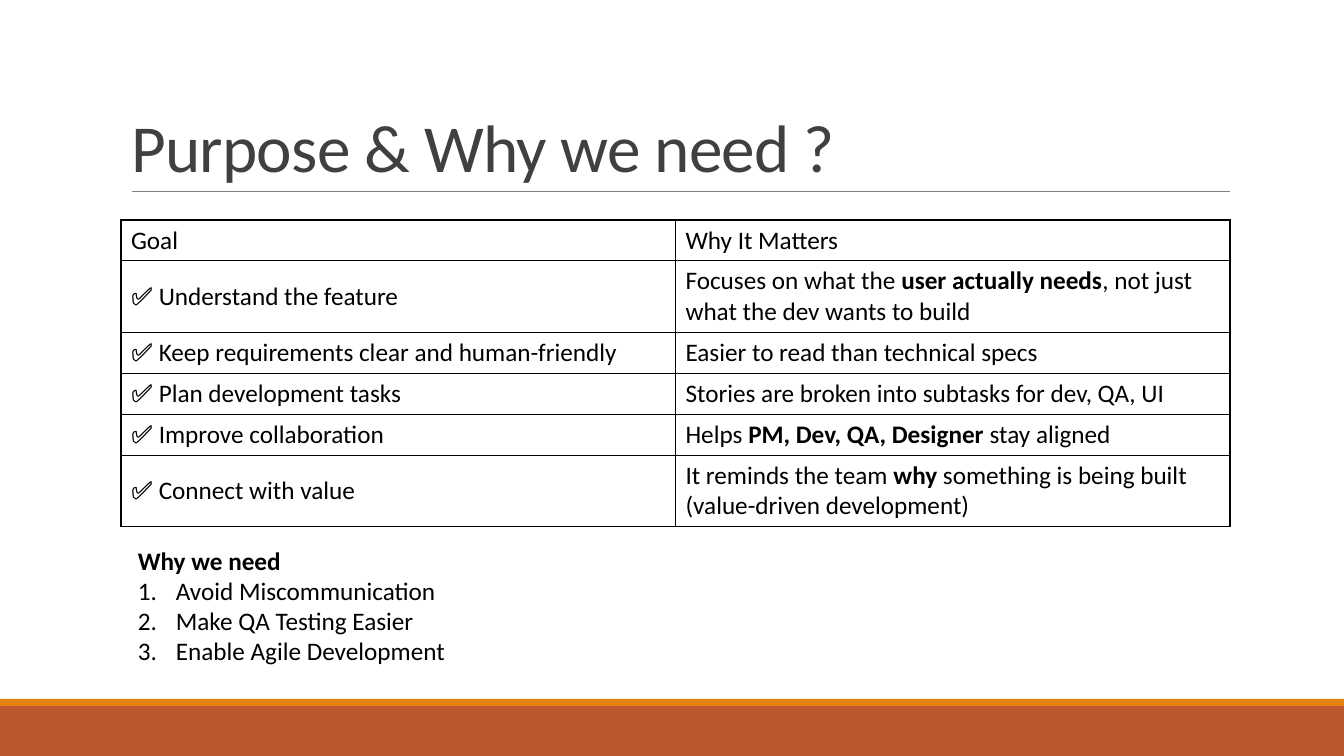
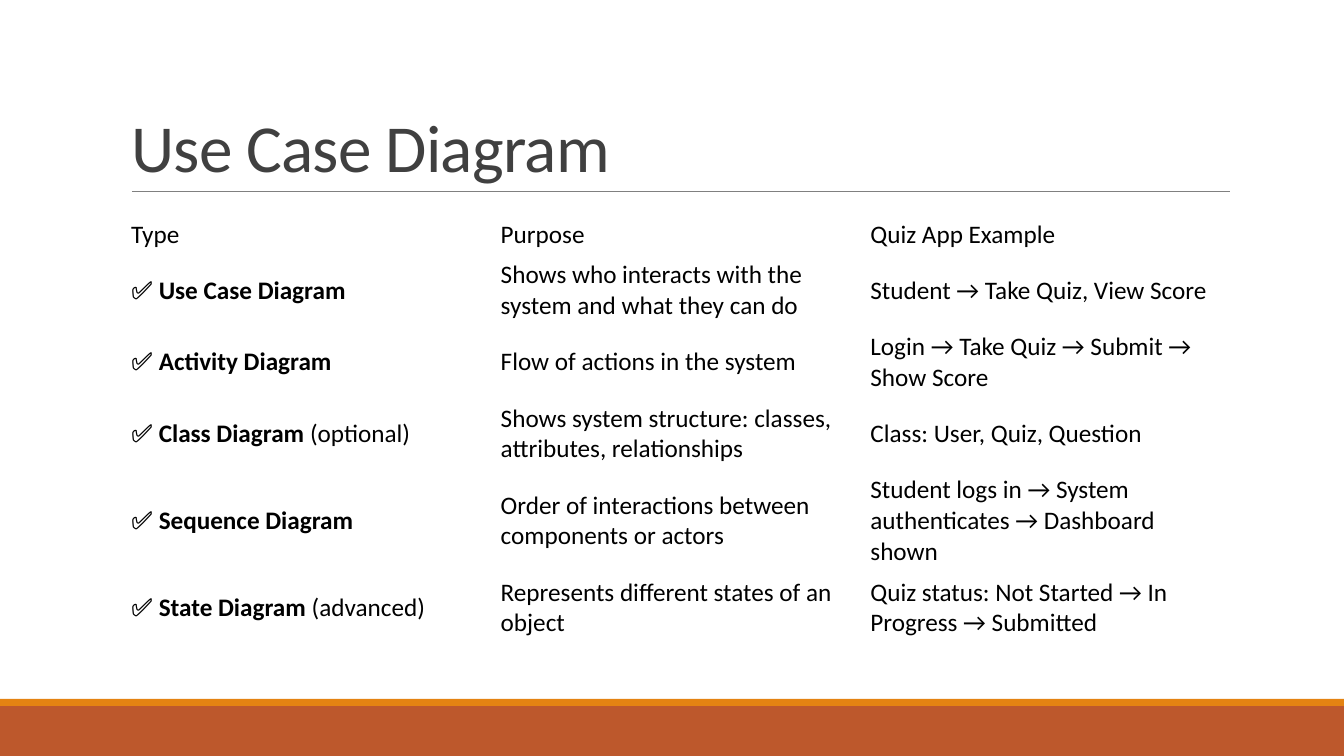
from lxml import etree
from pptx import Presentation
from pptx import util as u
from pptx.dml import color
from pptx.enum import shapes, text
from pptx.oxml import ns

SCALE = 12192000 / 1344  # EMU per px
WIDTH, HEIGHT = 1344, 756
LEFT, CONTENT_WIDTH = 121, 1109


def px(n):
    return u.Emu(round(n * SCALE))


def rgb(value):
    return color.RGBColor.from_string(value)


def sub(parent, tag, **attrs):
    return etree.SubElement(parent, ns.qn(tag), attrs)


class Deck:
    FONT = "Calibri"
    INK, TITLE, RULE = "000000", "404040", "808080"
    BAND, ACCENT = "BD582C", "E48312"
    BODY_SIZE, TITLE_SIZE = 18, 48

    def __init__(self):
        self.prs = Presentation()
        self.prs.slide_width, self.prs.slide_height = px(WIDTH), px(HEIGHT)
        self.s = None

    # Slide frame: title, rule and footer bands
    def slide(self, title):
        self.s = self.prs.slides.add_slide(self.prs.slide_layouts[5])
        self.band(706, 50, self.BAND)
        self.band(699, 7, self.ACCENT)
        self.rule(132, 1230, 191)
        self.title(title)

    def band(self, top, height, fill):
        sp = self.s.shapes.add_shape(shapes.MSO_SHAPE.RECTANGLE,
                                     0, px(top), px(WIDTH), px(height))
        sp.fill.solid()
        sp.fill.fore_color.rgb = rgb(fill)
        sp.line.fill.background()
        sp.shadow.inherit = False

    def rule(self, x1, x2, y):
        line = self.s.shapes.add_connector(shapes.MSO_CONNECTOR.STRAIGHT,
                                           px(x1), px(y), px(x2), px(y))
        line.line.color.rgb = rgb(self.RULE)
        line.line.width = u.Pt(0.5)
        sub(line._element.spPr, "a:effectLst")

    def title(self, wording):
        sp = self.s.shapes.title
        sp.left, sp.top = px(LEFT), px(31)
        sp.width, sp.height = px(CONTENT_WIDTH), px(160)
        tf = sp.text_frame
        tf.text = wording
        tf.word_wrap = True
        tf.auto_size = text.MSO_AUTO_SIZE.NONE
        tf.vertical_anchor = text.MSO_ANCHOR.BOTTOM
        p = tf.paragraphs[0]
        p.alignment = text.PP_ALIGN.LEFT
        p.line_spacing = 0.85
        r = p.runs[0]
        self.style(r, self.TITLE_SIZE, self.TITLE)
        r._r.get_or_add_rPr().set("spc", "-50")

    # Text: **double asterisks** mark bold
    def style(self, r, size, ink, bold=False):
        r.font.name, r.font.size = self.FONT, u.Pt(size)
        r.font.color.rgb = rgb(ink)
        r.font.bold = bold

    def rich(self, p, wording):
        for i, part in enumerate(wording.split("**")):
            if part:
                r = p.add_run()
                r.text = part
                self.style(r, self.BODY_SIZE, self.INK, bold=i % 2 == 1)

    def numbered_list(self, left, top, width, height, heading, items):
        sp = self.s.shapes.add_textbox(px(left), px(top), px(width), px(height))
        tf = sp.text_frame
        tf.word_wrap = True
        tf.auto_size = text.MSO_AUTO_SIZE.SHAPE_TO_FIT_TEXT
        self.rich(tf.paragraphs[0], f"**{heading}**")
        for item in items:
            p = tf.add_paragraph()
            self.rich(p, item)
            pPr = p._p.get_or_add_pPr()
            pPr.set("marL", str(px(38)))
            pPr.set("indent", str(-px(38)))
            sub(pPr, "a:buAutoNum", type="arabicPeriod")

    # Tables: rows start at a one-line height and grow with their text
    def table(self, top, rows, line_counts, border=None):
        heights = [10 + 30 * n for n in line_counts]
        n_cols = len(rows[0])
        frame = self.s.shapes.add_table(len(rows), n_cols, px(LEFT), px(top),
                                        px(CONTENT_WIDTH), px(sum(heights)))
        table = frame.table
        table.first_row = table.horz_banding = False
        for column in table.columns:
            column.width = px(CONTENT_WIDTH / n_cols)
        for row, height, wordings in zip(table.rows, heights, rows):
            row.height = px(height)
            for cell, wording in zip(row.cells, wordings):
                cell.fill.background()
                cell.vertical_anchor = text.MSO_ANCHOR.MIDDLE
                self.rich(cell.text_frame.paragraphs[0], wording)
                if border:
                    self.outline(cell, border)

    def outline(self, cell, ink):
        tcPr = cell._tc.get_or_add_tcPr()
        for i, side in enumerate("LRTB"):
            ln = etree.Element(ns.qn(f"a:ln{side}"), w=str(u.Pt(1)))
            sub(sub(ln, "a:solidFill"), "a:srgbClr", val=ink)
            tcPr.insert(i, ln)


def main():
    deck = Deck()

    # Purpose
    deck.slide("Purpose & Why we need ?")
    deck.table(220, [
        ("Goal", "Why It Matters"),
        ("✅ Understand the feature",
         "Focuses on what the **user actually needs**, not just what the dev wants to build"),
        ("✅ Keep requirements clear and human-friendly",
         "Easier to read than technical specs"),
        ("✅ Plan development tasks",
         "Stories are broken into subtasks for dev, QA, UI"),
        ("✅ Improve collaboration",
         "Helps **PM, Dev, QA, Designer** stay aligned"),
        ("✅ Connect with value",
         "It reminds the team **why** something is being built (value-driven development)"),
    ], [1, 2, 1, 1, 1, 2], border=deck.INK)
    deck.numbered_list(128, 540, 566, 132, "Why we need", [
        "Avoid Miscommunication",
        "Make QA Testing Easier",
        "Enable Agile Development",
    ])

    # Diagram types
    deck.slide("Use Case Diagram")
    deck.table(214, [
        ("Type", "Purpose", "Quiz App Example"),
        ("✅ **Use Case Diagram**",
         "Shows who interacts with the system and what they can do",
         "Student → Take Quiz, View Score"),
        ("✅ **Activity Diagram**",
         "Flow of actions in the system",
         "Login → Take Quiz → Submit → Show Score"),
        ("✅ **Class Diagram** (optional)",
         "Shows system structure: classes, attributes, relationships",
         "Class: User, Quiz, Question"),
        ("✅ **Sequence Diagram**",
         "Order of interactions between components or actors",
         "Student logs in → System authenticates → Dashboard shown"),
        ("✅ **State Diagram** (advanced)",
         "Represents different states of an object",
         "Quiz status: Not Started → In Progress → Submitted"),
    ], [1, 2, 2, 2, 3, 2])

    deck.prs.save("out.pptx")


if __name__ == "__main__":
    main()
